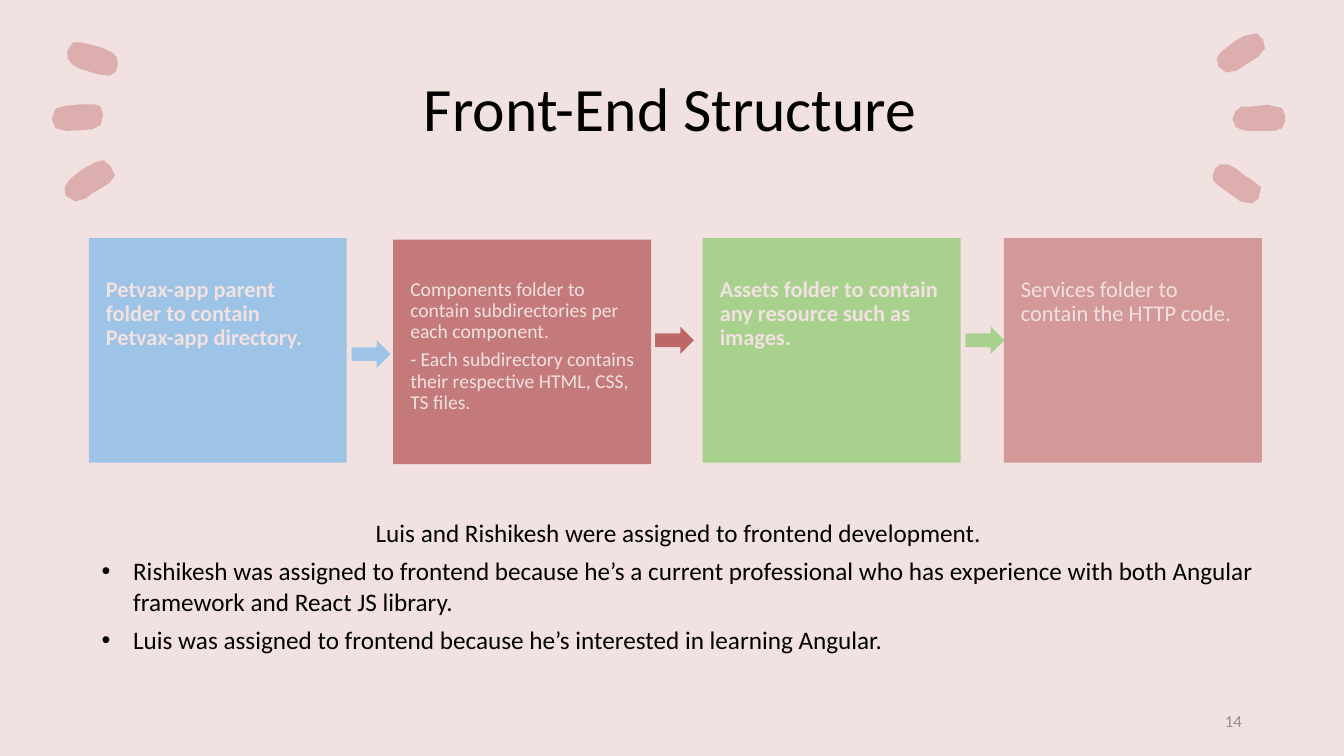
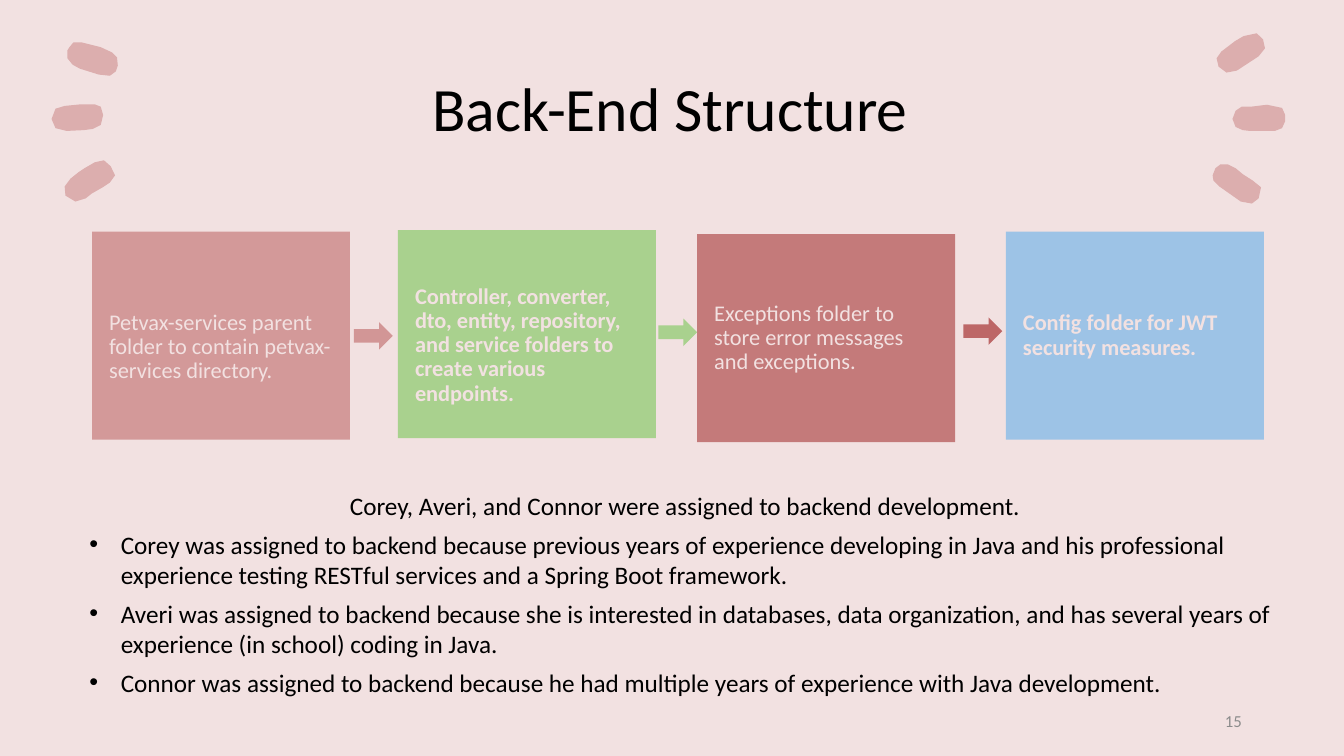
import pptx
import pptx.util
import pptx.dml.color
import pptx.enum.shapes
import pptx.enum.text
import lxml.etree
from pptx.oxml.ns import qn

Cm = pptx.util.Cm
Pt = pptx.util.Pt
RGBColor = pptx.dml.color.RGBColor
Anchor = pptx.enum.text.MSO_ANCHOR
Align = pptx.enum.text.PP_ALIGN
Preset = pptx.enum.shapes.MSO_SHAPE

BLUSH = RGBColor(0xF2, 0xE1, 0xE1)
PETAL = RGBColor(0xDC, 0xAE, 0xAE)
ROSE = RGBColor(0xD3, 0x99, 0x99)
ROSE_ARROW = RGBColor(0xD2, 0x96, 0x96)
BRICK = RGBColor(0xC4, 0x7A, 0x7A)
BRICK_ARROW = RGBColor(0xBD, 0x67, 0x67)
SKY = RGBColor(0x9D, 0xC3, 0xE6)
LEAF = RGBColor(0xA9, 0xD1, 0x8E)
BLACK = RGBColor(0, 0, 0)
GREY = RGBColor(0x8C, 0x8C, 0x8C)

CARD_WIDTH = 6.5
CARD_INSET = 0.43
CARD_RIGHT_INSET = 0.38
CARD_TOP_INSET = 1.0
UNITS_PER_CM = 100

PETALS = [
    [(2.77, 4.6), (2.59, 4.72), (2.31, 4.88), (2.16, 5), (1.9, 5.08), (1.65, 4.93), (1.63, 4.7),
     (1.78, 4.5), (1.98, 4.34), (2.13, 4.24), (2.39, 4.09), (2.62, 4.04), (2.79, 4.19), (2.9, 4.42)],
    [(2.34, 3.25), (2.11, 3.28), (1.68, 3.3), (1.4, 3.23), (1.3, 3), (1.4, 2.74), (1.63, 2.67),
     (2.03, 2.63), (2.39, 2.63), (2.54, 2.69), (2.6, 2.9), (2.54, 3.15)],
    [(2.06, 1.07), (1.85, 1.07), (1.75, 1.19), (1.7, 1.27), (1.7, 1.47), (1.83, 1.63), (2.01, 1.73),
     (2.49, 1.88), (2.77, 1.91), (2.92, 1.8), (2.97, 1.65), (2.95, 1.45), (2.82, 1.32), (2.54, 1.19)],
    [(32.13, 3.3), (31.5, 3.3), (31.32, 3.28), (31.14, 3.2), (31.06, 3), (31.14, 2.79), (31.29, 2.69),
     (31.52, 2.69), (31.93, 2.64), (32.31, 2.72), (32.39, 2.9), (32.39, 3.05), (32.31, 3.23)],
    [(30.78, 1.3), (31.12, 1.04), (31.34, 0.91), (31.67, 0.84), (31.83, 0.99), (31.88, 1.22),
     (31.72, 1.42), (31.17, 1.78), (30.91, 1.83), (30.71, 1.68), (30.66, 1.47)],
    [(30.58, 4.55), (30.56, 4.42), (30.63, 4.24), (30.76, 4.14), (30.94, 4.14), (31.14, 4.24),
     (31.32, 4.39), (31.57, 4.55), (31.78, 4.72), (31.72, 5), (31.55, 5.13), (31.27, 5.08), (30.73, 4.7)],
]

STRUCTURES = [
    {
        "title": "Front-End Structure",
        "number": "14",
        "card_height": 5.66,
        "anchor": Anchor.TOP,
        "cards": [
            (2.24, 6, SKY, True, 16, CARD_TOP_INSET,
             ["Petvax-app parent folder to contain Petvax-app directory."]),
            (9.91, 6.04, BRICK, False, 14, CARD_TOP_INSET,
             ["Components folder to contain subdirectories per each component.",
              "- Each subdirectory contains their respective HTML, CSS, TS files."]),
            (17.71, 6, LEAF, True, 16, CARD_TOP_INSET,
             ["Assets folder to contain any resource such as images."]),
            (25.3, 6, ROSE, False, 16, CARD_TOP_INSET,
             ["Services folder to contain the HTTP code."]),
        ],
        "arrows": [(8.86, 8.58, SKY), (16.51, 8.23, BRICK_ARROW), (24.33, 8.23, LEAF)],
        "team_box": (2.31, 12.9, 29.57, 3.76),
        "team": [
            "Luis and Rishikesh were assigned to frontend development.",
            "Rishikesh was assigned to frontend because he’s a current professional who has experience "
            "with both Angular framework and React JS library.",
            "Luis was assigned to frontend because he’s interested in learning Angular.",
        ],
    },
    {
        "title": "Back-End Structure",
        "number": "15",
        "card_height": 5.24,
        "anchor": Anchor.MIDDLE,
        "cards": [
            (2.32, 5.84, ROSE, False, 16, CARD_TOP_INSET,
             ["Petvax-services parent folder to contain petvax-services directory."]),
            (10.03, 5.8, LEAF, True, 16, CARD_TOP_INSET,
             ["Controller, converter, dto, entity, repository, and service folders to create "
              "various endpoints."]),
            (17.57, 5.9, BRICK, False, 16, CARD_INSET,
             ["Exceptions folder to store error messages and exceptions."]),
            (25.35, 5.84, SKY, True, 16, CARD_INSET,
             ["Config folder for JWT security measures."]),
        ],
        "arrows": [(8.92, 8.12, ROSE_ARROW), (16.59, 8.03, LEAF), (24.28, 8, BRICK_ARROW)],
        "team_box": (2, 12.23, 30.53, 5.52),
        "team": [
            "Corey, Averi, and Connor were assigned to backend development.",
            "Corey was assigned to backend because previous years of experience developing in Java and "
            "his professional experience testing RESTful services and a Spring Boot framework.",
            "Averi was assigned to backend because she is interested in databases, data organization, "
            "and has several years of experience (in school) coding in Java.",
            "Connor was assigned to backend because he had multiple years of experience with Java "
            "development.",
        ],
    },
]


def write(frame, text, size=18, color=BLACK, bold=False, align=Align.LEFT,
          line=1.0, before=0, after=0, bullet=None):
    paragraph = frame.paragraphs[0]
    if paragraph.runs:
        paragraph = frame.add_paragraph()
    properties = paragraph._p.get_or_add_pPr()
    hanging = Cm(0.79) if bullet else 0
    properties.set("marL", str(hanging))
    properties.set("indent", str(-hanging))
    if bullet:
        lxml.etree.SubElement(properties, qn("a:buChar")).set("char", bullet)
    else:
        lxml.etree.SubElement(properties, qn("a:buNone"))
    paragraph.alignment = align
    paragraph.line_spacing = line
    paragraph.space_before = Pt(before)
    paragraph.space_after = Pt(after)
    run = paragraph.add_run()
    run.text = text
    run.font.name = "Calibri"
    run.font.size = Pt(size)
    run.font.bold = bold
    run.font.color.rgb = color


def paint(shape, color):
    shape.shadow.inherit = False
    shape.fill.solid()
    shape.fill.fore_color.rgb = color
    shape.line.fill.background()


deck = pptx.Presentation()
deck.slide_width = Cm(33.87)
deck.slide_height = Cm(19.05)

layout = deck.slide_layouts[1]
layout.background.fill.solid()
layout.background.fill.fore_color.rgb = BLUSH
heading = layout.placeholders[0]
heading.left, heading.top, heading.width, heading.height = Cm(2), Cm(1.73), Cm(29.79), Cm(2.18)
slides = [deck.slides.add_slide(layout) for structure in STRUCTURES]

for index, outline in enumerate(PETALS):
    corners = [(x * UNITS_PER_CM, y * UNITS_PER_CM) for x, y in outline]
    builder = slides[0].shapes.build_freeform(*corners[0], scale=Cm(1) / UNITS_PER_CM)
    builder.add_line_segments(corners[1:], close=True)
    petal = builder.convert_to_shape()
    paint(petal, PETAL)
    petal.element.nvSpPr.cNvPr.set("id", str(100 + index))
    layout.shapes.element.append(petal.element)

for slide, structure in zip(slides, STRUCTURES):
    title = slide.shapes.title.text_frame
    title.vertical_anchor = Anchor.MIDDLE
    title.auto_size = pptx.enum.text.MSO_AUTO_SIZE.NONE
    write(title, structure["title"], size=44, align=Align.CENTER, line=0.9)

    for left, top, color, bold, size, top_inset, texts in structure["cards"]:
        card = slide.shapes.add_shape(Preset.RECTANGLE, Cm(left), Cm(top), Cm(CARD_WIDTH),
                                      Cm(structure["card_height"]))
        paint(card, color)
        content = card.text_frame
        content.word_wrap = True
        content.vertical_anchor = structure["anchor"]
        content.margin_left = content.margin_bottom = Cm(CARD_INSET)
        content.margin_right = Cm(CARD_RIGHT_INSET)
        content.margin_top = Cm(top_inset)
        for text in texts:
            write(content, text, size=size, color=BLUSH, bold=bold, line=0.9, after=5)

    for left, top, color in structure["arrows"]:
        arrow = slide.shapes.add_shape(Preset.RIGHT_ARROW, Cm(left), Cm(top), Cm(0.98), Cm(0.69))
        paint(arrow, color)

    team = slide.placeholders[1]
    team.left, team.top, team.width, team.height = (Cm(edge) for edge in structure["team_box"])
    team.text_frame.auto_size = pptx.enum.text.MSO_AUTO_SIZE.NONE
    team.text_frame.vertical_anchor = Anchor.TOP
    summary, *reasons = structure["team"]
    write(team.text_frame, summary, align=Align.CENTER, after=3)
    for reason in reasons:
        write(team.text_frame, reason, before=3, after=3, bullet="•")

    number = slide.shapes.add_textbox(Cm(23.93), Cm(17.65), Cm(7.62), Cm(1.02)).text_frame
    number.word_wrap = True
    number.vertical_anchor = Anchor.MIDDLE
    write(number, structure["number"], size=12, color=GREY, align=Align.RIGHT)

deck.save("out.pptx")
